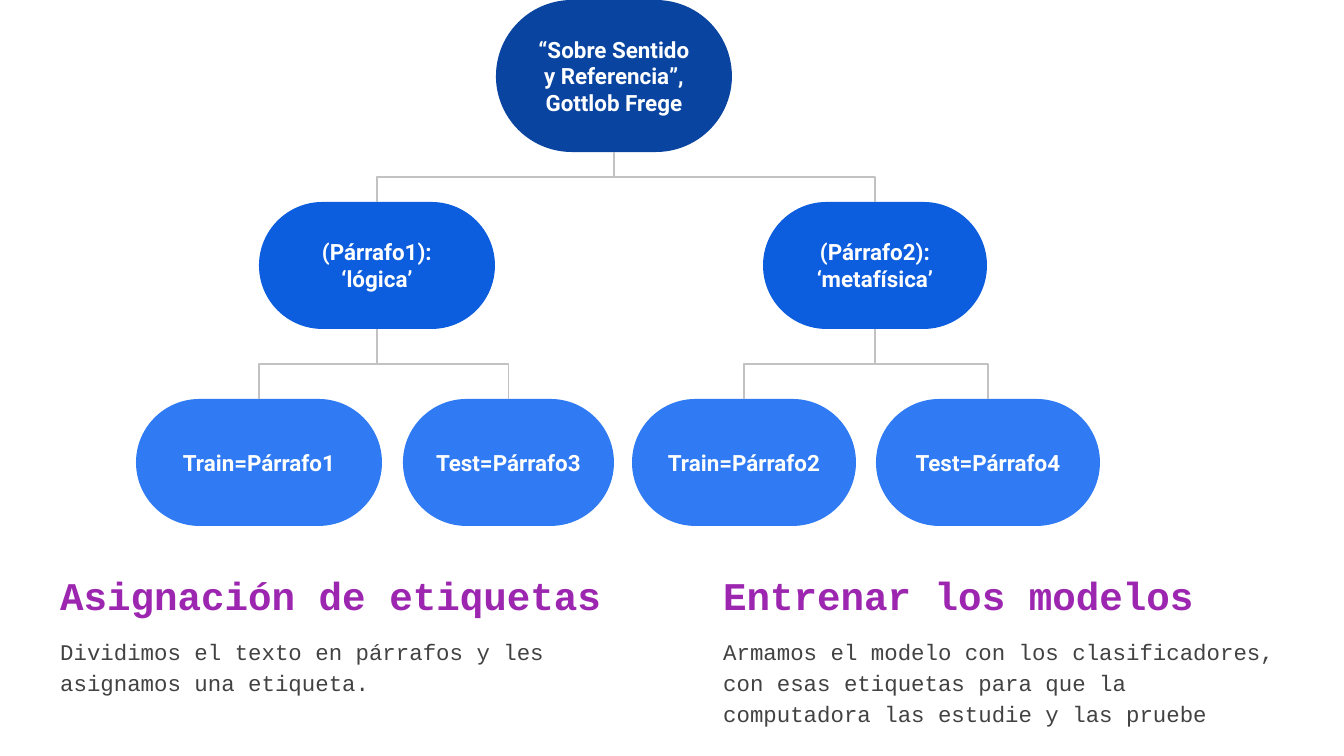
from dataclasses import dataclass

from lxml.etree import SubElement
from pptx import Presentation
from pptx.dml.color import RGBColor
from pptx.enum.shapes import MSO_CONNECTOR as Connector, MSO_SHAPE as Shape
from pptx.enum.text import MSO_ANCHOR as Anchor, PP_ALIGN as Align
from pptx.oxml.ns import qn
from pptx.util import Pt

EMU_PER_PX = 914400 / 134.4
SLIDE_SIZE = (1344, 756)


@dataclass(frozen=True)
class Theme:
    levels: tuple = ("0944A1", "0D5DDF", "307BF3")
    node_text: str = "FFFFFF"
    heading: str = "9C26B0"
    body: str = "424242"
    line: str = "C2C2C2"
    node_font: str = "Roboto"
    text_font: str = "Courier New"
    heading_size: int = 21
    text_size: int = 12
    line_width: float = 0.75


THEME = Theme()

# Each level: top, height, then nodes as (text, left, width, parent's index)
LEVELS = [
    (0, 152, [("“Sobre Sentido y Referencia”, Gottlob Frege", 496, 236, None)]),
    (202, 127, [
        ("(Párrafo1): ‘lógica’", 259, 236, 0),
        ("(Párrafo2): ‘metafísica’", 763, 224, 0),
    ]),
    (399, 127, [
        ("Train=Párrafo1", 136, 246, 0),
        ("Test=Párrafo3", 403, 211, 0),
        ("Train=Párrafo2", 632, 224, 1),
        ("Test=Párrafo4", 876, 224, 1),
    ]),
]

COLUMNS = [
    (47, "Asignación de etiquetas",
     "Dividimos el texto en párrafos y les asignamos una etiqueta."),
    (710, "Entrenar los modelos",
     "Armamos el modelo con los clasificadores, con esas etiquetas "
     "para que la computadora las estudie y las pruebe"),
]
COLUMN_WIDTH = 587
HEADING_TOP, HEADING_HEIGHT = 554, 78
BODY_TOP, BODY_HEIGHT = 621, 94
INSET = 13.44  # 0.1 inch


def px(length):
    return round(length * EMU_PER_PX)


def write(box, text, *, font, color, size=THEME.text_size, bold=False,
          align=Align.LEFT, anchor=Anchor.TOP, spacing=1.0):
    frame = box.text_frame
    frame.word_wrap = True
    frame.vertical_anchor = anchor
    frame.margin_left = frame.margin_right = px(INSET)
    frame.margin_top = frame.margin_bottom = px(INSET)
    para = frame.paragraphs[0]
    para.alignment = align
    para.line_spacing = spacing
    span = para.add_run()
    span.text = text
    span.font.name = font
    span.font.size = Pt(size)
    span.font.bold = bold
    span.font.color.rgb = RGBColor.from_string(color)


def add_node(slide, text, left, top, width, height, fill):
    node = slide.shapes.add_shape(
        Shape.ROUNDED_RECTANGLE, px(left), px(top), px(width), px(height))
    node.adjustments[0] = 0.5
    node.shadow.inherit = False
    node.fill.solid()
    node.fill.fore_color.rgb = RGBColor.from_string(fill)
    node.line.fill.background()
    write(node, text, font=THEME.node_font, color=THEME.node_text, bold=True,
          align=Align.CENTER, anchor=Anchor.MIDDLE)
    return node


def add_branch(slide, parent, child):
    """Join parent to child with an elbow that leaves downwards."""
    branch = slide.shapes.add_connector(Connector.ELBOW, 0, 0, 0, 0)
    branch.begin_connect(parent, 2)
    branch.end_connect(child, 0)
    branch.line.color.rgb = RGBColor.from_string(THEME.line)
    branch.line.width = Pt(THEME.line_width)

    # The stored frame is the elbow before its quarter turn about the centre.
    start_x, start_y = parent.left + parent.width // 2, parent.top + parent.height
    end_x, end_y = child.left + child.width // 2, child.top
    branch.width, branch.height = end_y - start_y, abs(end_x - start_x)
    branch.left = (start_x + end_x - branch.width) // 2
    branch.top = (start_y + end_y - branch.height) // 2
    goes_right = end_x > start_x
    properties = branch._element.spPr
    frame = properties.find(qn("a:xfrm"))
    frame.set("rot", "16200000" if goes_right else "5400000")
    frame.set("flipH", "1" if goes_right else "0")
    frame.set("flipV", "0")
    SubElement(properties, qn("a:effectLst"))


def add_tree(slide):
    parents = []
    for (top, height, nodes), fill in zip(LEVELS, THEME.levels):
        level = []
        for text, left, width, parent in nodes:
            node = add_node(slide, text, left, top, width, height, fill)
            if parent is not None:
                add_branch(slide, parents[parent], node)
            level.append(node)
        parents = level


def add_text(slide, text, left, top, height, **style):
    box = slide.shapes.add_textbox(px(left), px(top), px(COLUMN_WIDTH), px(height))
    write(box, text, font=THEME.text_font, **style)


def main():
    deck = Presentation()
    deck.slide_width, deck.slide_height = map(px, SLIDE_SIZE)
    slide = deck.slides.add_slide(deck.slide_layouts[6])
    for left, heading, body in COLUMNS:
        add_text(slide, heading, left, HEADING_TOP, HEADING_HEIGHT, bold=True,
                 color=THEME.heading, size=THEME.heading_size, anchor=Anchor.BOTTOM)
        add_text(slide, body, left, BODY_TOP, BODY_HEIGHT,
                 color=THEME.body, spacing=1.15)
    add_tree(slide)
    deck.save("out.pptx")


if __name__ == "__main__":
    main()
